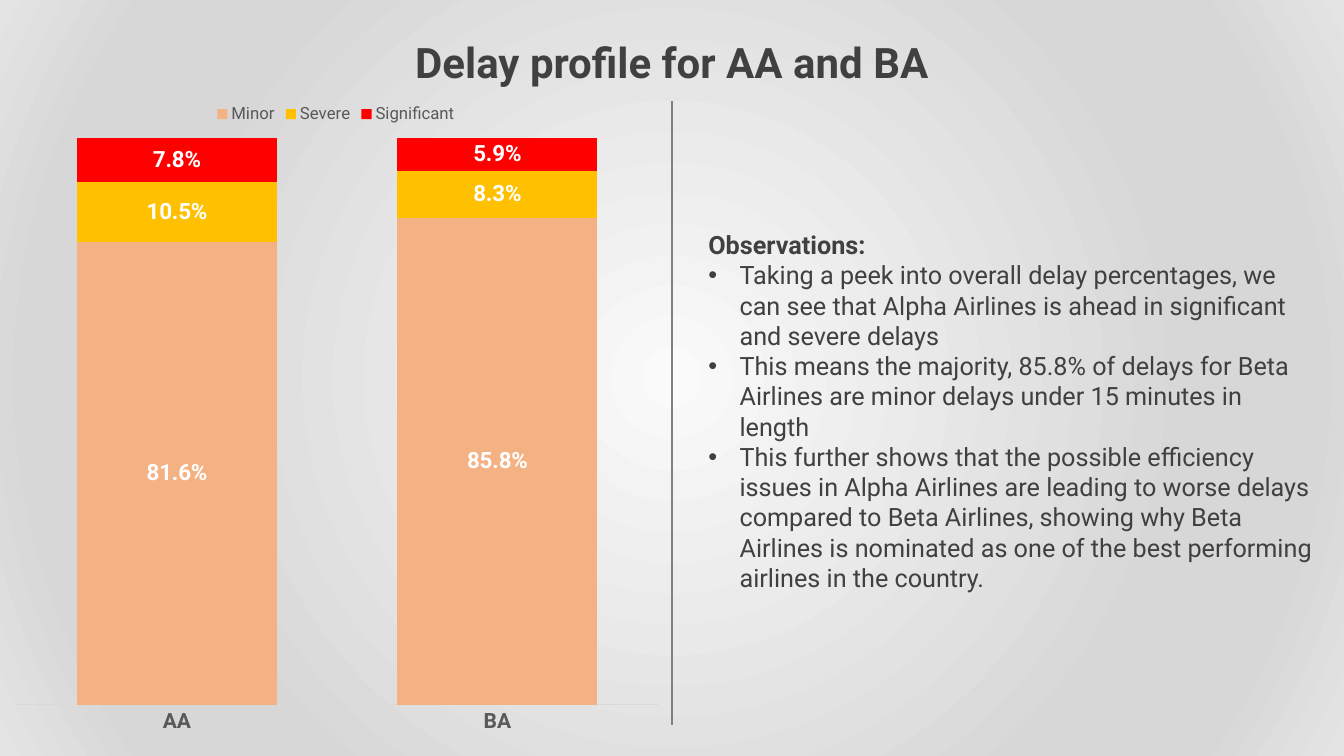
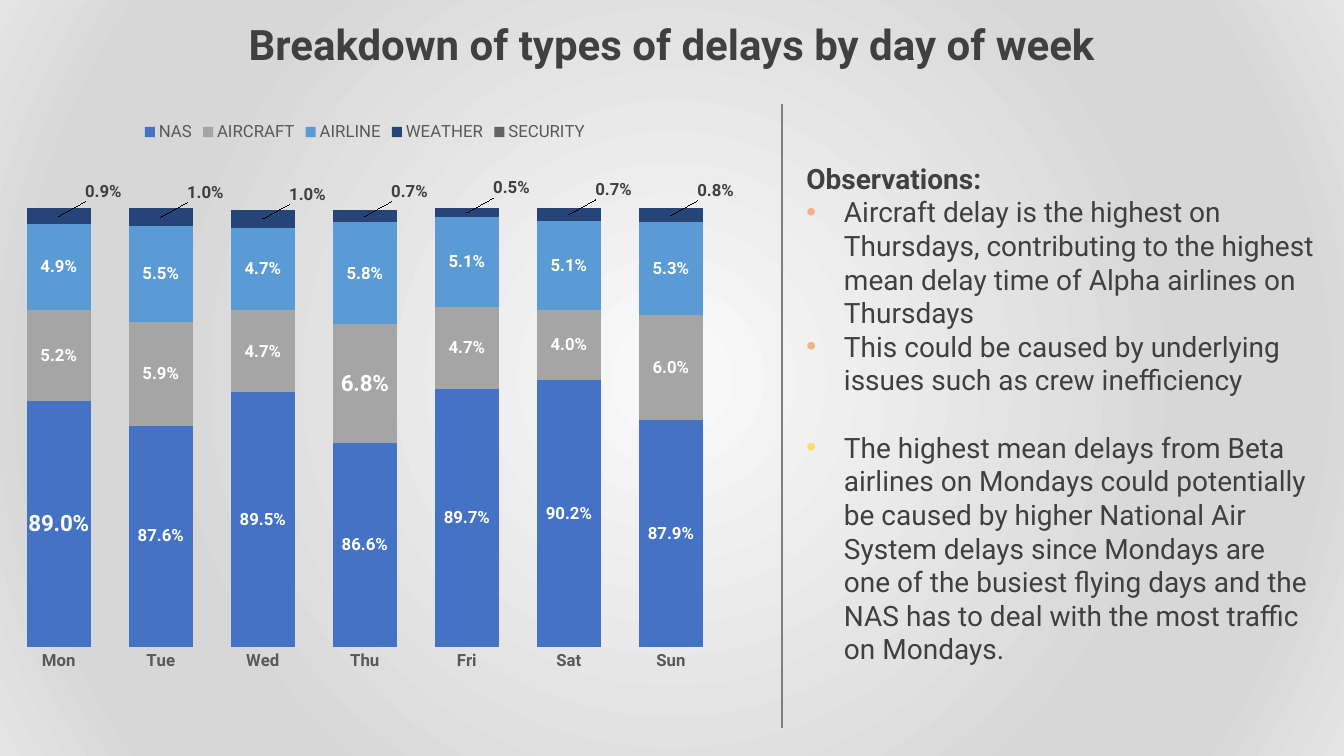
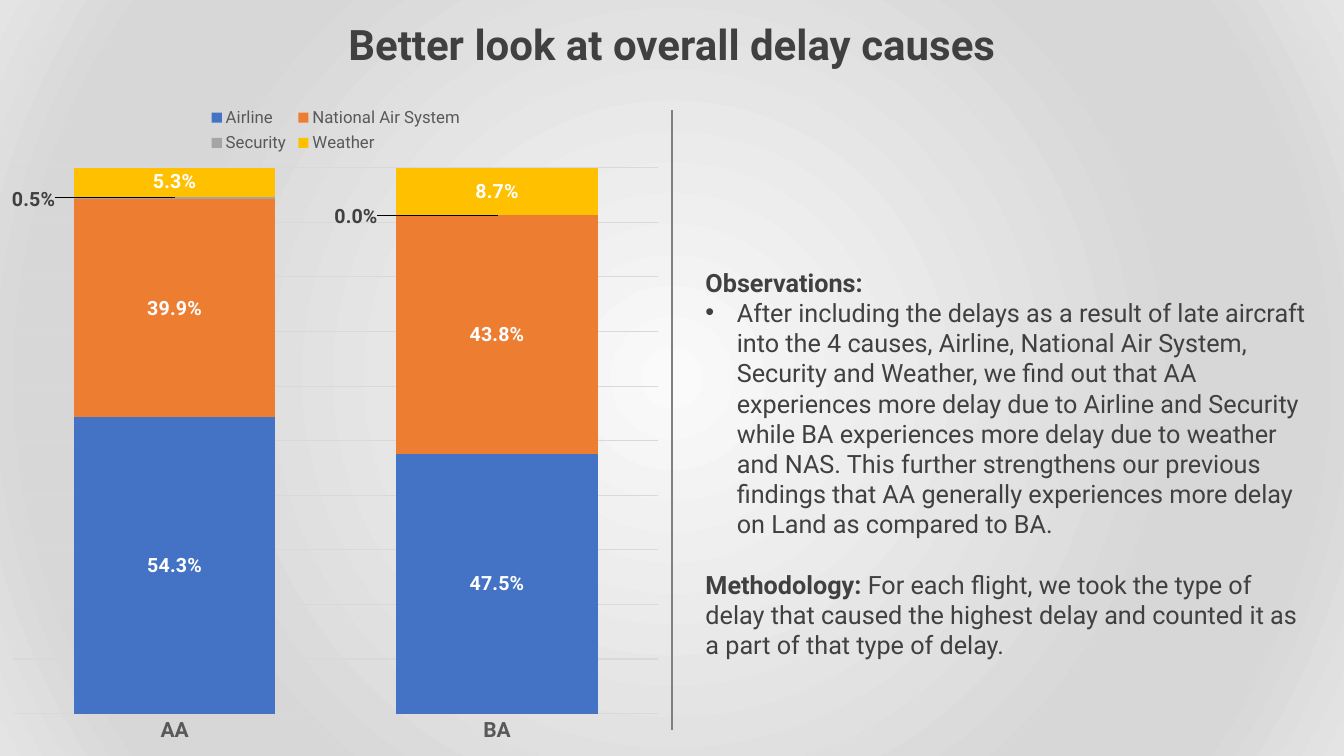
from dataclasses import dataclass, field
from typing import Optional

from pptx import Presentation
from pptx.chart.data import CategoryChartData
from pptx.dml.color import RGBColor
from pptx.enum.chart import XL_CHART_TYPE as ChartType
from pptx.enum.chart import XL_LABEL_POSITION as LabelPos
from pptx.enum.chart import XL_LEGEND_POSITION as LegendPos
from pptx.enum.chart import XL_TICK_MARK as TickMark
from pptx.enum.shapes import MSO_CONNECTOR as Connector
from pptx.enum.text import MSO_AUTO_SIZE as AutoSize
from pptx.enum.text import PP_ALIGN as Align
from pptx.oxml import parse_xml
from pptx.oxml.ns import nsdecls, qn
from pptx.util import Cm, Pt

# Shared style
COLORS = {
    "text": "404040", "axis": "595959", "grid": "D9D9D9", "divider": "808080",
    "white": "FFFFFF", "peach": "F4B183", "amber": "FFC000", "red": "FF0000",
    "blue": "4472C4", "gray": "A5A5A5", "sky": "5B9BD5", "navy": "264478",
    "charcoal": "636363", "orange": "ED7D31", "yellow": "FFD966",
}
BACKGROUND_STOPS = ((0, "FAFAFA"), (68, "D7D7D7"), (83, "D7D7D7"), (100, "E4E4E4"))
FONT = "Roboto"
PERCENT = "0.0%"
SLIDE_WIDTH, SLIDE_HEIGHT = 33.87, 19.05
TITLE_HEIGHT = 1.55
LINE_HEIGHT = 1.2


@dataclass
class Box:
    left: float
    top: float
    width: float
    height: float

    def lengths(self) -> tuple:
        return Cm(self.left), Cm(self.top), Cm(self.width), Cm(self.height)


@dataclass
class PointLabel:
    """A label that differs from its series in size or in offset."""
    index: int
    size: int
    dx: float = 0
    dy: float = 0


@dataclass
class Layer:
    name: str
    values: tuple
    color: str
    label_color: Optional[str] = "white"
    point_labels: list = field(default_factory=list)


@dataclass
class DelayChart:
    box: Box
    plot: Box  # fractions of the chart
    categories: tuple
    layers: list
    label_size: int
    axis_size: int
    low: float = 0
    high: float = 1
    kind: ChartType = ChartType.COLUMN_STACKED
    axis_line: bool = True
    gridlines: bool = False
    reverse: bool = False
    legend: Optional[Box] = None  # fractions of the chart
    legend_overlay: bool = True


@dataclass
class Remark:
    runs: tuple  # (text, bold) pairs
    bullet: bool = False
    bullet_color: Optional[str] = None
    gap: bool = False


@dataclass
class Page:
    title: str
    title_top: float
    title_width: float
    chart: DelayChart
    divider: tuple  # x, top, bottom
    remarks_box: Box
    remarks_size: int
    indent: float
    remarks: list


def rgb(name: str) -> RGBColor:
    return RGBColor.from_string(COLORS[name])


def style(font, size: float, color: str, bold: bool = False) -> None:
    font.name, font.size, font.bold = FONT, Pt(size), bold
    font.color.rgb = rgb(color)


def set_background(master) -> None:
    master.background.fill.solid()
    properties = master.element.find(".//" + qn("p:bgPr"))
    stops = "".join(f'<a:gs pos="{pos * 1000}"><a:srgbClr val="{color}"/></a:gs>'
                    for pos, color in BACKGROUND_STOPS)
    center = " ".join(f'{side}="50000"' for side in "ltrb")
    gradient = parse_xml(
        f'<a:gradFill {nsdecls("a")} rotWithShape="1"><a:gsLst>{stops}</a:gsLst>'
        f'<a:path path="circle"><a:fillToRect {center}/></a:path></a:gradFill>')
    properties.replace(properties[0], gradient)


# Text and divider
def add_title(slide, page: Page) -> None:
    left = (SLIDE_WIDTH - page.title_width) / 2
    box = Box(left, page.title_top, page.title_width, TITLE_HEIGHT)
    frame = slide.shapes.add_textbox(*box.lengths()).text_frame
    frame.word_wrap = False
    frame.auto_size = AutoSize.SHAPE_TO_FIT_TEXT
    heading = frame.paragraphs[0]
    heading.alignment = Align.CENTER
    run = heading.add_run()
    run.text = page.title
    style(run.font, 30, "text", True)


def add_bullet(paragraph, indent: float, color: Optional[str]) -> None:
    properties = paragraph._p.get_or_add_pPr()
    properties.set("marL", str(Cm(indent)))
    properties.set("indent", str(-Cm(indent)))
    if color:
        properties.append(parse_xml(
            f'<a:buClr {nsdecls("a")}><a:srgbClr val="{COLORS[color]}"/></a:buClr>'))
    properties.append(parse_xml(f'<a:buFont {nsdecls("a")} typeface="Arial"/>'))
    properties.append(parse_xml(f'<a:buChar {nsdecls("a")} char="•"/>'))


def add_remarks(slide, page: Page) -> None:
    frame = slide.shapes.add_textbox(*page.remarks_box.lengths()).text_frame
    frame.word_wrap = True
    frame.auto_size = AutoSize.SHAPE_TO_FIT_TEXT
    for index, remark in enumerate(page.remarks):
        paragraph = frame.add_paragraph() if index else frame.paragraphs[0]
        if remark.bullet:
            add_bullet(paragraph, page.indent, remark.bullet_color)
        if remark.gap:
            paragraph.space_before = Pt(page.remarks_size * LINE_HEIGHT)
        for text, bold in remark.runs:
            run = paragraph.add_run()
            run.text = text
            style(run.font, page.remarks_size, "text", bold)


def add_divider(slide, x: float, top: float, bottom: float) -> None:
    divider = slide.shapes.add_connector(
        Connector.STRAIGHT, Cm(x), Cm(top), Cm(x), Cm(bottom))
    divider.line.color.rgb = rgb("divider")
    divider.line.width = Pt(1.5)
    divider._element.spPr.append(parse_xml(f'<a:effectLst {nsdecls("a")}/>'))


# Charts
def set_layout(parent, index: int, parts: dict) -> None:
    """Put a manual layout at the given child position."""
    for old in parent.findall(qn("c:layout")):
        parent.remove(old)
    body = "".join(f'<c:{tag} val="{value}"/>' for tag, value in parts.items())
    parent.insert(index, parse_xml(
        f'<c:layout {nsdecls("c")}><c:manualLayout>{body}</c:manualLayout></c:layout>'))


def frame_parts(box: Box) -> dict:
    return {"xMode": "edge", "yMode": "edge",
            "x": box.left, "y": box.top, "w": box.width, "h": box.height}


def style_layer(series, layer: Layer, size: int) -> None:
    series.format.fill.solid()
    series.format.fill.fore_color.rgb = rgb(layer.color)
    series.invert_if_negative = False
    if not layer.label_color:
        return
    labels = series.data_labels
    labels.show_value = True
    labels.position = LabelPos.CENTER
    labels.number_format, labels.number_format_is_linked = PERCENT, False
    style(labels.font, size, layer.label_color, True)
    for special in layer.point_labels:
        label = series.points[special.index].data_label
        style(label.font, special.size, layer.label_color, True)
        element = labels._element.findall(qn("c:dLbl"))[-1]
        element.insert(1, parse_xml(
            f'<c:numFmt {nsdecls("c")} formatCode="{PERCENT}" sourceLinked="0"/>'))
        if special.dx or special.dy:
            set_layout(element, 1, {"x": special.dx, "y": special.dy})


def add_delay_chart(slide, spec_chart: DelayChart) -> None:
    data = CategoryChartData(number_format=PERCENT)
    data.categories = spec_chart.categories
    for layer in spec_chart.layers:
        data.add_series(layer.name, layer.values)
    chart = slide.shapes.add_chart(
        spec_chart.kind, *spec_chart.box.lengths(), data).chart
    chart.has_title = False
    chart.font.name, chart.font.size = "Calibri", Pt(10)

    columns = chart.plots[0]
    columns.gap_width, columns.overlap = 60, 100
    columns.vary_by_categories = False
    for series, layer in zip(columns.series, spec_chart.layers):
        style_layer(series, layer, spec_chart.label_size)

    groups = chart.category_axis
    groups.major_tick_mark = groups.minor_tick_mark = TickMark.NONE
    groups.reverse_order = spec_chart.reverse
    style(groups.tick_labels.font, spec_chart.axis_size, "axis", True)
    share = chart.value_axis
    share.minimum_scale, share.maximum_scale = spec_chart.low, spec_chart.high
    share.has_major_gridlines = spec_chart.gridlines
    share.tick_labels.number_format = PERCENT
    share.tick_labels.number_format_is_linked = False
    share.visible = False
    rules = []
    if spec_chart.axis_line:
        rules.append(groups.format.line)
    else:
        groups.format.line.fill.background()
    if spec_chart.gridlines:
        share.major_unit = 0.1
        rules.append(share.major_gridlines.format.line)
    for rule in rules:
        rule.color.rgb = rgb("grid")
        rule.width = Pt(0.75)

    chart.has_legend = True
    legend = chart.legend
    legend.position = LegendPos.TOP
    legend.include_in_layout = spec_chart.legend_overlay
    style(legend.font, 12, "axis")
    if spec_chart.legend:
        set_layout(legend._element, 1, frame_parts(spec_chart.legend))
    plot_area = chart._chartSpace.find(".//" + qn("c:plotArea"))
    set_layout(plot_area, 0, {"layoutTarget": "inner", **frame_parts(spec_chart.plot)})


# Content
def point(text: str, color: Optional[str] = None, gap: bool = False) -> Remark:
    return Remark(((text, False),), True, color, gap)


OBSERVATIONS = Remark((("Observations:", True),))

PROFILE = DelayChart(
    Box(0, 2.34, 16.93, 17.98), Box(0.025, 0.023, 0.954, 0.835), ("AA", "BA"),
    [Layer("Minor", (0.816, 0.858), "peach"),
     Layer("Severe", (0.105, 0.083), "amber"),
     Layer("Significant", (0.078, 0.059), "red")],
    label_size=16, axis_size=15, high=1.05)

WEEKDAYS = DelayChart(
    Box(-0.18, 2.79, 18.75, 14.4), Box(0.02, 0.171, 0.96, 0.767),
    ("Mon", "Tue", "Wed", "Thu", "Fri", "Sat", "Sun"),
    [Layer("NAS", (0.89, 0.876, 0.895, 0.866, 0.897, 0.902, 0.879), "blue",
           point_labels=[PointLabel(0, 16)]),
     Layer("AIRCRAFT", (0.052, 0.059, 0.047, 0.068, 0.047, 0.04, 0.06), "gray",
           point_labels=[PointLabel(3, 16)]),
     Layer("AIRLINE", (0.049, 0.055, 0.047, 0.058, 0.051, 0.051, 0.053), "sky"),
     Layer("WEATHER", (0.009, 0.01, 0.01, 0.007, 0.005, 0.007, 0.008), "navy", "text",
           [PointLabel(day, 12, 0.06, -0.043) for day in range(7)]),
     Layer("SECURITY", (0,) * 7, "charcoal", None)],
    label_size=12, axis_size=12, low=0.75, axis_line=False)

CAUSES = DelayChart(
    Box(0, 2.41, 16.93, 16.64), Box(0.02, 0.109, 0.96, 0.827), ("BA", "AA"),
    [Layer("Airline", (0.475, 0.543), "blue"),
     Layer("National Air System", (0.438, 0.399), "orange"),
     Layer("Security", (0, 0.005), "gray", "text",
           [PointLabel(airline, 14, -0.21, 0.003) for airline in range(2)]),
     Layer("Weather", (0.087, 0.053), "amber")],
    label_size=14, axis_size=15, kind=ChartType.COLUMN_STACKED_100, gridlines=True,
    reverse=True, legend=Box(0.305, 0.01, 0.39, 0.085), legend_overlay=False)

PAGES = [
    Page("Delay profile for AA and BA", 0.79, 14.45, PROFILE, (16.93, 2.54, 18.26),
         Box(17.6, 5.66, 15.85, 9.5), 18, 0.79, [
             OBSERVATIONS,
             point("Taking a peek into overall delay percentages, we can see that Alpha "
                   "Airlines is ahead in significant and severe delays"),
             point("This means the majority, 85.8% of delays for Beta Airlines are minor "
                   "delays under 15 minutes in length"),
             point("This further shows that the possible efficiency issues in Alpha "
                   "Airlines are leading to worse delays compared to Beta Airlines, "
                   "showing why Beta Airlines is nominated as one of the best performing "
                   "airlines in the country.")]),
    Page("Breakdown of types of delays by day of week", 0.33, 23.5, WEEKDAYS,
         (19.71, 2.62, 18.34), Box(20.07, 3.94, 13.39, 13.08), 20, 0.95, [
             OBSERVATIONS,
             point("Aircraft delay is the highest on Thursdays, contributing to the "
                   "highest mean delay time of Alpha airlines on Thursdays", "peach"),
             point("This could be caused by underlying issues such as crew inefficiency",
                   "peach"),
             point("The highest mean delays from Beta airlines on Mondays could "
                   "potentially be caused by higher National Air System delays since "
                   "Mondays are one of the busiest flying days and the NAS has to deal "
                   "with the most traffic on Mondays.", "yellow", gap=True)]),
    Page("Better look at overall delay causes", 0.33, 18.03, CAUSES,
         (16.93, 2.77, 18.39), Box(17.53, 6.6, 15.85, 10.26), 18, 0.79, [
             OBSERVATIONS,
             point("After including the delays as a result of late aircraft into the 4 "
                   "causes, Airline, National Air System, Security and Weather, we find "
                   "out that AA experiences more delay due to Airline and Security while "
                   "BA experiences more delay due to weather and NAS. This further "
                   "strengthens our previous findings that AA generally experiences more "
                   "delay on Land as compared to BA."),
             Remark((("Methodology:", True),
                     (" For each flight, we took the type of delay that caused the "
                      "highest delay and counted it as a part of that type of delay.",
                      False)), gap=True)]),
]


def main() -> None:
    deck = Presentation()
    deck.slide_width, deck.slide_height = Cm(SLIDE_WIDTH), Cm(SLIDE_HEIGHT)
    set_background(deck.slide_master)
    for page in PAGES:
        slide = deck.slides.add_slide(deck.slide_layouts[6])
        add_title(slide, page)
        add_delay_chart(slide, page.chart)
        add_divider(slide, *page.divider)
        add_remarks(slide, page)
    deck.save("out.pptx")


if __name__ == "__main__":
    main()
